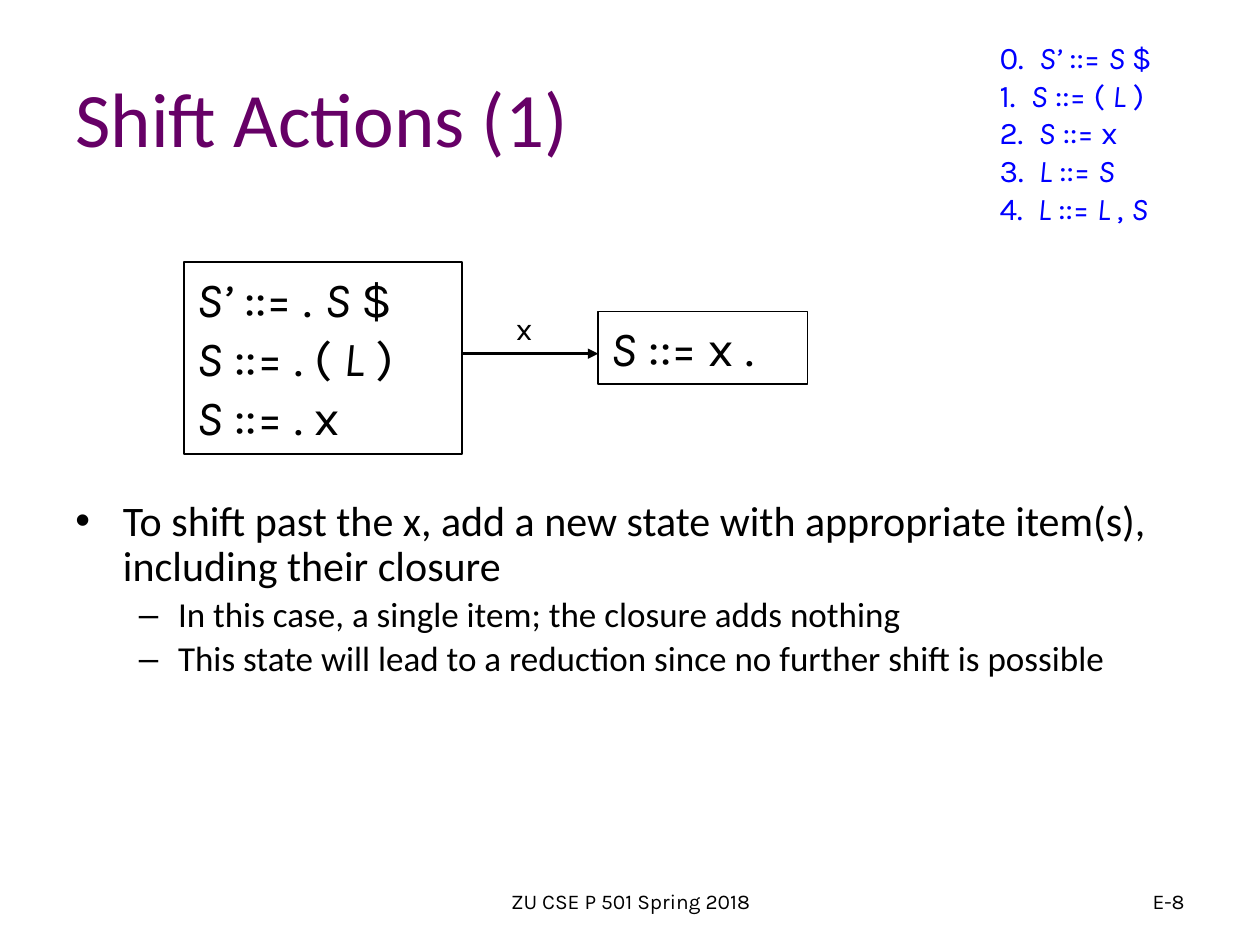
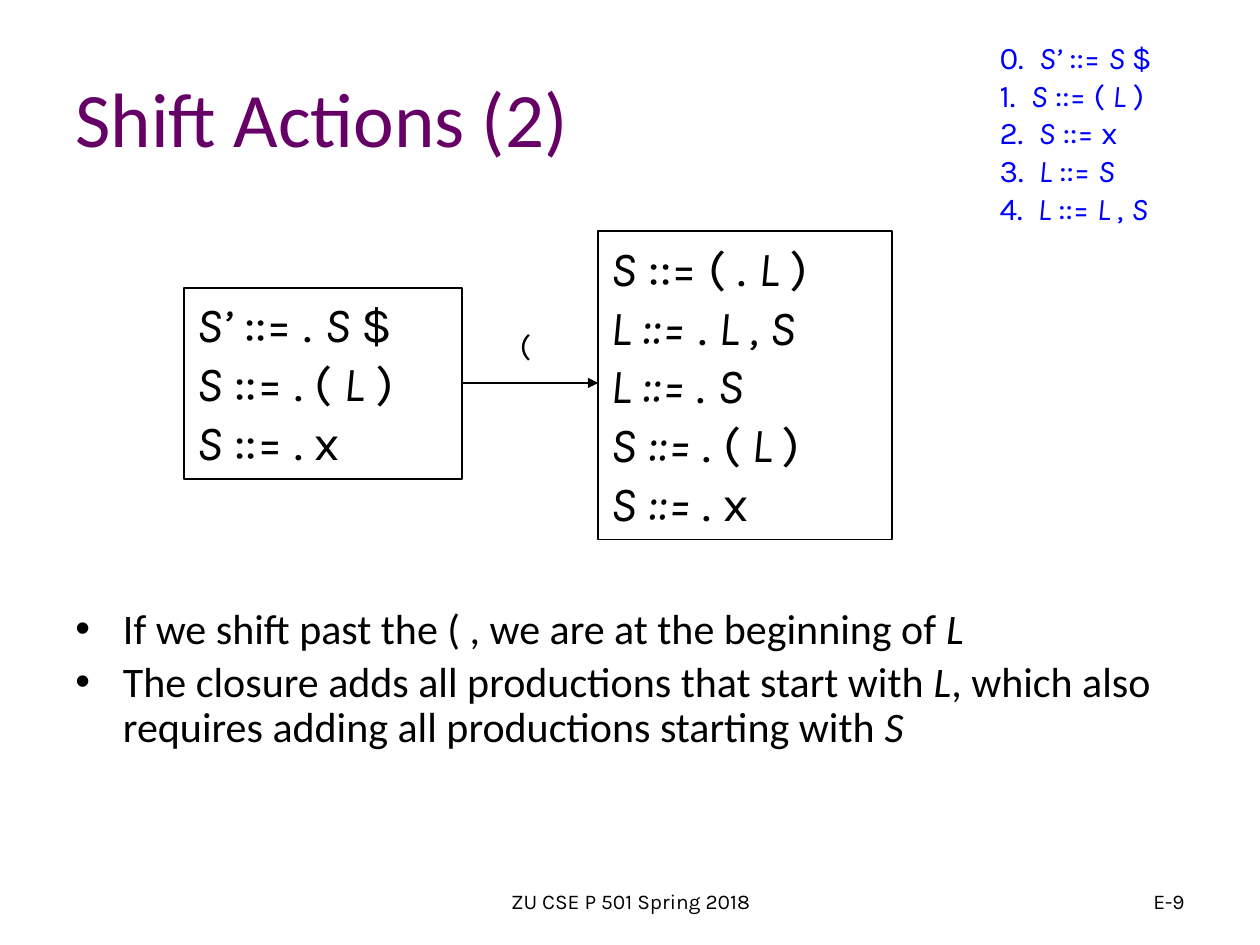
from dataclasses import dataclass

from lxml import etree
from pptx import Presentation
from pptx.dml.color import RGBColor
from pptx.enum.shapes import MSO_CONNECTOR, MSO_SHAPE
from pptx.enum.text import MSO_ANCHOR, PP_ALIGN
from pptx.oxml.ns import qn
from pptx.util import Cm, Pt

RECT, STRAIGHT = MSO_SHAPE.RECTANGLE, MSO_CONNECTOR.STRAIGHT
TOP, MIDDLE = MSO_ANCHOR.TOP, MSO_ANCHOR.MIDDLE
LEFT, CENTER, RIGHT = PP_ALIGN.LEFT, PP_ALIGN.CENTER, PP_ALIGN.RIGHT

# Shared look
BLACK, PURPLE, BLUE = "000000", "660066", "0000FF"
HEAD_FONT, ITEM_FONT = "Calibri", "Karla"
FOOTER = "ZU CSE P 501 Spring 2018"

# Asterisks switch italics on and off
GRAMMAR = ["0.  *S’* ::= *S *$", "1.  *S* ::= ( *L* )", "2.  *S* ::= x",
           "3.  *L* ::= *S*", "4.  *L* ::= *L *, *S*"]
START_ITEMS = ["*S’* ::= . *S *$", "*S* ::= . ( *L* )", "*S* ::= . x"]


@dataclass
class Box:
    left: float
    top: float
    width: float
    height: float


@dataclass
class Style:
    size: float
    font: str = ITEM_FONT
    color: str = BLACK
    align: PP_ALIGN = LEFT


@dataclass
class Bullet:
    text: str
    level: int = 0


@dataclass
class ShiftSlide:
    title: str
    number: str
    start_top: float
    target: Box
    target_items: list[str]
    arrow_y: float
    symbol: str
    symbol_box: Box
    body_top: float
    bullets: list[Bullet]


TITLE = Style(44, HEAD_FONT, PURPLE)
ITEM = Style(28)
SYMBOL = Style(18, align=CENTER)
RULE = Style(18, color=BLUE)
BODY = [Style(24, HEAD_FONT), Style(20, HEAD_FONT)]
# Bullet sign, left margin and hanging indent in cm for each level
BULLET_MARKS = [("•", 0.96, 0.96), ("–", 2.07, 0.79)]

TITLE_BOX = Box(1.27, 0.76, 17.3, 3.18)
FOOTER_BOX = Box(8.69, 17.65, 8.05, 1.02)
NUMBER_BOX = Box(18.2, 17.65, 5.93, 1.02)
GRAMMAR_BOX = Box(18.63, 0.64, 5.92, 4.11)
START_LEFT, START_WIDTH, START_HEIGHT = 3.71, 5.61, 3.86
BODY_LEFT, BODY_WIDTH, BODY_BOTTOM = 1.27, 22.86, 17.02

SLIDES = [
    ShiftSlide(
        "Shift Actions (1)", "E-8", 5.29,
        Box(12.06, 6.28, 4.22, 1.47), ["*S* ::= x ."],
        7.13, "x", Box(10.16, 6.1, 0.81, 1.02), 9.96,
        [Bullet("To shift past the x, add a new state with appropriate "
                "item(s), including their closure"),
         Bullet("In this case, a single item; the closure adds nothing", 1),
         Bullet("This state will lead to a reduction since no further "
                "shift is possible", 1)]),
    ShiftSlide(
        "Shift Actions (2)", "E-9", 5.8,
        Box(12.06, 4.66, 5.92, 6.22),
        ["*S* ::= ( . *L* )", "*L ::=* . *L , S*", "*L ::= *. *S*",
         "*S ::= *. (* L *)", "*S ::= *. x"],
        7.72, "(", Box(10.21, 6.44, 0.76, 1.02), 12.14,
        [Bullet("If we shift past the ( , we are at the beginning of *L*"),
         Bullet("The closure adds all productions that start with *L*, which "
                "also requires adding all productions starting with *S*")]),
]


def rgb(color: str) -> RGBColor:
    return RGBColor.from_string(color)


def place(box: Box) -> tuple:
    return Cm(box.left), Cm(box.top), Cm(box.width), Cm(box.height)


def write_line(p, text: str, style: Style) -> None:
    p.alignment = style.align
    for i, part in enumerate(text.split("*")):
        if part:
            r = p.add_run()
            r.text = part
            r.font.size, r.font.name = Pt(style.size), style.font
            r.font.italic = i % 2 == 1
            r.font.color.rgb = rgb(style.color)


def write_lines(tf, lines: list[str], style: Style, anchor=TOP) -> None:
    tf.word_wrap = True
    tf.vertical_anchor = anchor
    for i, line in enumerate(lines):
        write_line(tf.add_paragraph() if i else tf.paragraphs[0], line, style)


def add_text(s, box: Box, lines: list[str], style: Style, anchor=TOP):
    tf = s.shapes.add_textbox(*place(box)).text_frame
    write_lines(tf, lines, style, anchor)
    return tf


def set_indent(p, margin: float, first: float = 0):
    pPr = p._p.get_or_add_pPr()
    pPr.set("marL", str(Cm(margin)))
    pPr.set("indent", str(Cm(first)))
    return pPr


def add_state(s, box: Box, items: list[str]) -> None:
    sp = s.shapes.add_shape(RECT, *place(box))
    sp.shadow.inherit = False
    sp.fill.background()
    sp.line.color.rgb = rgb(BLACK)
    sp.line.width = Pt(1)
    write_lines(sp.text_frame, items, ITEM)


def add_arrow(s, x1: float, x2: float, y: float) -> None:
    cxn = s.shapes.add_connector(STRAIGHT, Cm(x1), Cm(y), Cm(x2), Cm(y))
    cxn.line.color.rgb = rgb(BLACK)
    cxn.line.width = Pt(1.5)
    etree.SubElement(cxn.line._get_or_add_ln(), qn("a:tailEnd"), type="triangle")
    etree.SubElement(cxn._element.spPr, qn("a:effectLst"))


def add_bullets(s, bullets: list[Bullet], top: float) -> None:
    box = Box(BODY_LEFT, top, BODY_WIDTH, BODY_BOTTOM - top)
    tf = s.shapes.add_textbox(*place(box)).text_frame
    tf.word_wrap = True
    for i, bullet in enumerate(bullets):
        p = tf.add_paragraph() if i else tf.paragraphs[0]
        style = BODY[bullet.level]
        write_line(p, bullet.text, style)
        p.level = bullet.level
        p.line_spacing = 0.9
        p.space_before = Pt(style.size * 0.18)
        mark, margin, hanging = BULLET_MARKS[bullet.level]
        pPr = set_indent(p, margin, -hanging)
        etree.SubElement(pPr, qn("a:buFont"), typeface="Arial")
        etree.SubElement(pPr, qn("a:buChar"), char=mark)


def add_frame(s, title: str, number: str) -> None:
    add_text(s, TITLE_BOX, [title], TITLE, MIDDLE)
    add_text(s, FOOTER_BOX, [FOOTER], Style(12, align=CENTER), MIDDLE)
    add_text(s, NUMBER_BOX, [number], Style(12, align=RIGHT), MIDDLE)
    for p in add_text(s, GRAMMAR_BOX, GRAMMAR, RULE).paragraphs:
        set_indent(p, 1.27)


def add_transition(s, data: ShiftSlide) -> None:
    start = Box(START_LEFT, data.start_top, START_WIDTH, START_HEIGHT)
    add_state(s, start, START_ITEMS)
    add_state(s, data.target, data.target_items)
    add_arrow(s, start.left + start.width, data.target.left, data.arrow_y)
    tf = add_text(s, data.symbol_box, [data.symbol], SYMBOL)
    tf.margin_left = tf.margin_right = 0


prs = Presentation()
prs.slide_width, prs.slide_height = Cm(25.4), Cm(19.05)
for data in SLIDES:
    s = prs.slides.add_slide(prs.slide_layouts[6])
    add_frame(s, data.title, data.number)
    add_bullets(s, data.bullets, data.body_top)
    add_transition(s, data)
prs.save("out.pptx")
